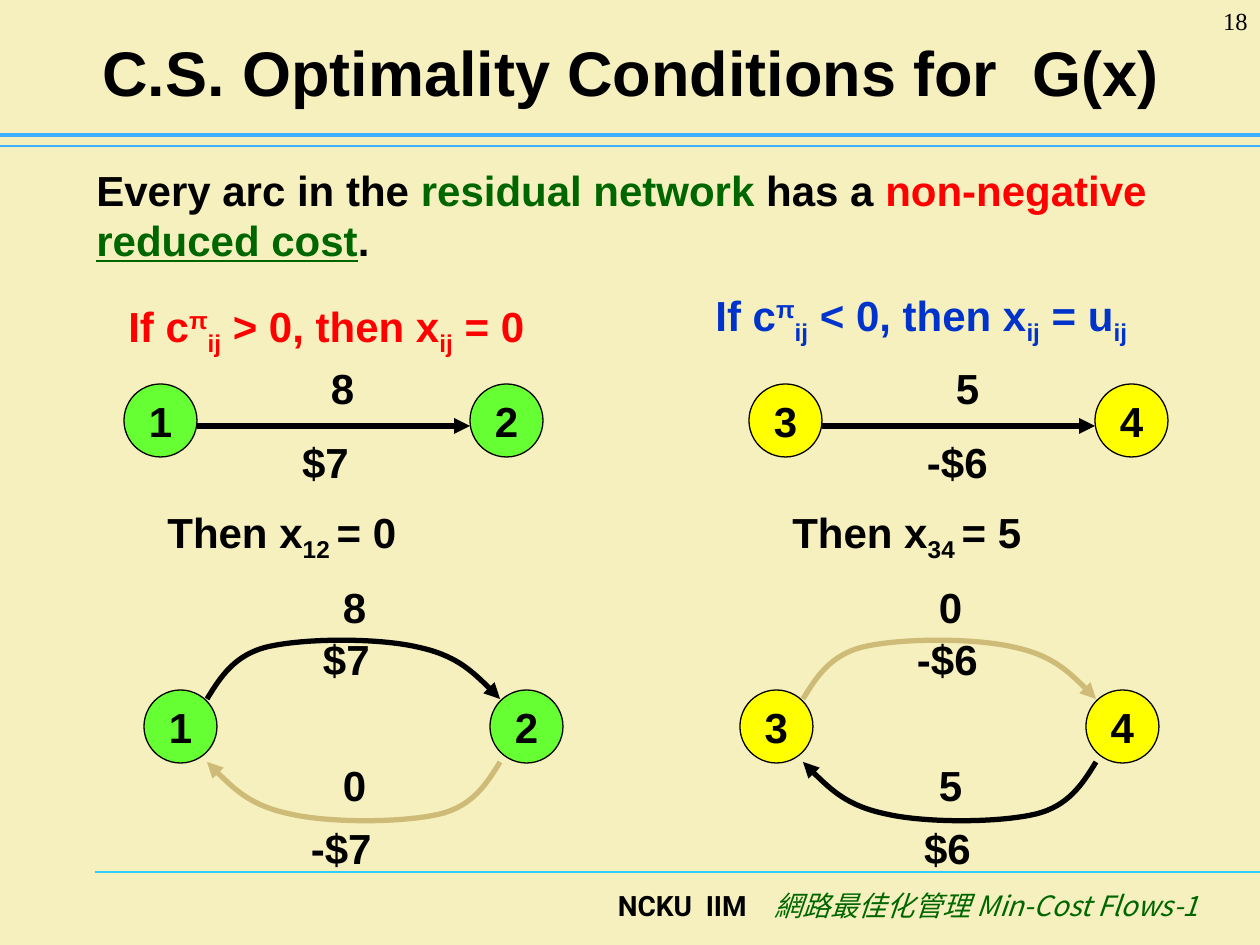
from dataclasses import dataclass

from lxml import etree
from pptx import Presentation
from pptx.dml.color import RGBColor
from pptx.enum.shapes import MSO_CONNECTOR, MSO_SHAPE
from pptx.enum.text import MSO_ANCHOR, MSO_AUTO_SIZE, PP_ALIGN
from pptx.oxml.ns import qn
from pptx.util import Emu, Pt

LEFT, CENTER, RIGHT = PP_ALIGN.LEFT, PP_ALIGN.CENTER, PP_ALIGN.RIGHT
TOP, MIDDLE = MSO_ANCHOR.TOP, MSO_ANCHOR.MIDDLE
STRAIGHT, OVAL = MSO_CONNECTOR.STRAIGHT, MSO_SHAPE.OVAL

EMU_PER_PX = 914400 / 126
BLACK, RED, BLUE, GREEN = "000000", "FF0000", "0033CC", "006600"
LIME, YELLOW, TAN = "66FF33", "FFFF00", "CDBB77"
SKY, CYAN, CREAM = "3DB0FF", "33CCFF", "F5F0BD"

NODE_SIZE, NODE_STEP = 73, 346
ARC_WIDTH, ARC_HEIGHT = 293, 61
# Start point, then three cubic segments of three points each
ARC_POINTS = [(0, 61), (14, 38), (28, 17), (60, 9), (98, 0), (171, 0),
              (210, 9), (248, 17), (271, 38), (293, 61)]


@dataclass(frozen=True)
class Run:
    text: str
    color: str = BLACK
    size: int = 24
    font: str = "Arial"
    bold: bool = True
    italic: bool = False
    underline: bool = False
    baseline: int = 0   # percent
    spacing: int = 0    # points


@dataclass(frozen=True)
class Label:
    text: str
    left: int
    top: int
    width: int = 24


@dataclass(frozen=True)
class Network:
    left: int
    top: int
    nodes: tuple[str, str]
    fill: str
    labels: tuple[Label, ...]


def px(length: int) -> Emu:
    return Emu(round(length * EMU_PER_PX))


def rgb(color: str) -> RGBColor:
    return RGBColor.from_string(color)


def write(shape, runs: list[Run], align=LEFT, anchor=TOP, before: int = 0,
          inset: bool = True, wrap: bool = True) -> None:
    frame = shape.text_frame
    frame.auto_size = MSO_AUTO_SIZE.NONE
    frame.word_wrap, frame.vertical_anchor = wrap, anchor
    frame.margin_left = frame.margin_right = Pt(7.2 if inset else 0)
    frame.margin_top = frame.margin_bottom = Pt(3.6 if inset else 0)
    paragraph = frame.paragraphs[0]
    paragraph.alignment, paragraph.space_before = align, Pt(before)
    for part in runs:
        run = paragraph.add_run()
        run.text = part.text
        font = run.font
        font.name, font.size, font.bold = part.font, Pt(part.size), part.bold
        font.italic, font.underline = part.italic, part.underline
        font.color.rgb = rgb(part.color)
        properties = run._r.get_or_add_rPr()
        etree.SubElement(properties, qn("a:ea")).set("typeface", part.font)
        if part.baseline:
            properties.set("baseline", str(part.baseline * 1000))
        if part.spacing:
            properties.set("spc", str(part.spacing * 100))


def add_text(slide, left: int, top: int, width: int, height: int,
             runs: list[Run], **options) -> None:
    box = slide.shapes.add_textbox(px(left), px(top), px(width), px(height))
    write(box, runs, **options)


def add_arrowhead(shape) -> None:
    line = shape.line._get_or_add_ln()
    etree.SubElement(line, qn("a:tailEnd")).set("type", "triangle")


def add_line(slide, left: int, right: int, y: int, color: str,
             weight: float, arrow: bool = False) -> None:
    line = slide.shapes.add_connector(STRAIGHT, px(left), px(y), px(right), px(y))
    line.line.color.rgb, line.line.width = rgb(color), Pt(weight)
    if arrow:
        add_arrowhead(line)
    etree.SubElement(line.element.spPr, qn("a:effectLst"))


def add_arc(slide, left: int, top: int, color: str, backward: bool) -> None:
    points = ARC_POINTS
    if backward:
        points = [(ARC_WIDTH - x, ARC_HEIGHT - y) for x, y in points]
    points = [(left + x, top + y) for x, y in points]
    builder = slide.shapes.build_freeform(*points[0], scale=EMU_PER_PX)
    builder.add_line_segments(points[1:], close=False)
    arc = builder.convert_to_shape()
    # Merge every three line segments into one cubic curve
    path = arc.element.find(".//" + qn("a:path"))
    segments = path.findall(qn("a:lnTo"))
    for start in range(0, len(segments), 3):
        curve = etree.SubElement(path, qn("a:cubicBezTo"))
        for segment in segments[start:start + 3]:
            curve.append(segment[0])
            path.remove(segment)
    arc.shadow.inherit = False
    arc.fill.background()
    arc.line.color.rgb, arc.line.width = rgb(color), Pt(3)
    add_arrowhead(arc)


def add_network(slide, network: Network) -> None:
    for index, name in enumerate(network.nodes):
        node = slide.shapes.add_shape(
            OVAL, px(network.left + index * NODE_STEP), px(network.top),
            px(NODE_SIZE), px(NODE_SIZE))
        node.shadow.inherit = False
        node.fill.solid()
        node.fill.fore_color.rgb = rgb(network.fill)
        node.line.color.rgb, node.line.width = rgb(BLACK), Pt(0.75)
        write(node, [Run(name)], align=CENTER, anchor=MIDDLE, wrap=False)
    for label in network.labels:
        add_text(slide, label.left, label.top, label.width, 50,
                 [Run(label.text)], inset=False, wrap=False)


def condition(color: str, *parts: tuple[str, int]) -> list[Run]:
    return [Run(text, color, baseline=baseline) for text, baseline in parts]


ARC_NETWORKS = [
    Network(124, 384, ("1", "2"), LIME,
            (Label("8", 331, 363), Label("$7", 302, 437, 47))),
    Network(749, 384, ("3", "4"), YELLOW,
            (Label("5", 956, 363), Label("-$6", 927, 437, 60))),
]
RESIDUAL_NETWORKS = [
    Network(144, 690, ("1", "2"), LIME,
            (Label("8", 343, 582), Label("$7", 323, 634, 47),
             Label("0", 343, 760), Label("-$7", 311, 823, 60))),
    Network(740, 690, ("3", "4"), YELLOW,
            (Label("0", 939, 582), Label("-$6", 917, 634, 60),
             Label("5", 939, 760), Label("$6", 924, 823, 47))),
]


def main() -> None:
    presentation = Presentation()
    presentation.slide_width, presentation.slide_height = px(1260), px(945)
    slide = presentation.slides.add_slide(presentation.slide_layouts[5])
    slide.background.fill.solid()
    slide.background.fill.fore_color.rgb = rgb(CREAM)

    # Rules and footer
    add_line(slide, 95, 1260, 872, CYAN, 0.75)
    add_line(slide, 0, 1260, 146, SKY, 0.75)
    add_line(slide, 0, 1260, 135, SKY, 2.5)
    add_text(slide, 231, 882, 980, 63, [
        Run("NCKU  IIM", size=16, font="Roboto"),
        Run(" ", size=16, font="Roboto", spacing=12),
        Run("網路最佳化管理 Min-Cost Flows-1", GREEN, 16, "Noto Sans CJK SC",
            bold=False, italic=True)], align=RIGHT)

    # Title and statement
    title = slide.shapes.title
    title.left, title.top, title.width, title.height = map(px, (64, 16, 1134, 110))
    write(title, [Run("C.S. Optimality Conditions for  G(x)", size=36)],
          align=CENTER, anchor=MIDDLE)
    add_text(slide, 84, 158, 1111, 113, [
        Run("Every arc in the "), Run("residual network", GREEN), Run(" has a "),
        Run("non-negative ", RED), Run("reduced cost", GREEN, underline=True),
        Run(".")], before=15)

    # Optimality conditions
    add_text(slide, 116, 294, 431, 70, condition(
        RED, ("If c", 0), ("π", 30), ("ij", -25), (" > 0, then x", 0),
        ("ij", -25), (" = 0", 0)), before=15)
    add_text(slide, 703, 283, 451, 70, condition(
        BLUE, ("If c", 0), ("π", 30), ("ij", -25), (" < 0, then x", 0),
        ("ij", -25), (" = u", 0), ("ij", -25)), before=15)

    # Single arcs and the flows that follow
    for network, value in zip(ARC_NETWORKS, ("0", "5")):
        add_network(slide, network)
        add_line(slide, network.left + NODE_SIZE, network.left + NODE_STEP,
                 426, BLACK, 3, arrow=True)
        add_text(slide, network.left + 31, 500, 368, 70, condition(
            BLACK, ("Then x", 0), ("".join(network.nodes) + " ", -25),
            (f"= {value}", 0)), before=15)

    # Residual networks
    for network, colors in zip(RESIDUAL_NETWORKS, ((BLACK, TAN), (TAN, BLACK))):
        add_network(slide, network)
        add_arc(slide, network.left + 63, 638, colors[0], backward=False)
        add_arc(slide, network.left + 63, 762, colors[1], backward=True)

    # Page number
    add_text(slide, 1155, 0, 105, 63,
             [Run("18", size=14, font="Times New Roman", bold=False)], align=RIGHT)
    presentation.save("out.pptx")


if __name__ == "__main__":
    main()
